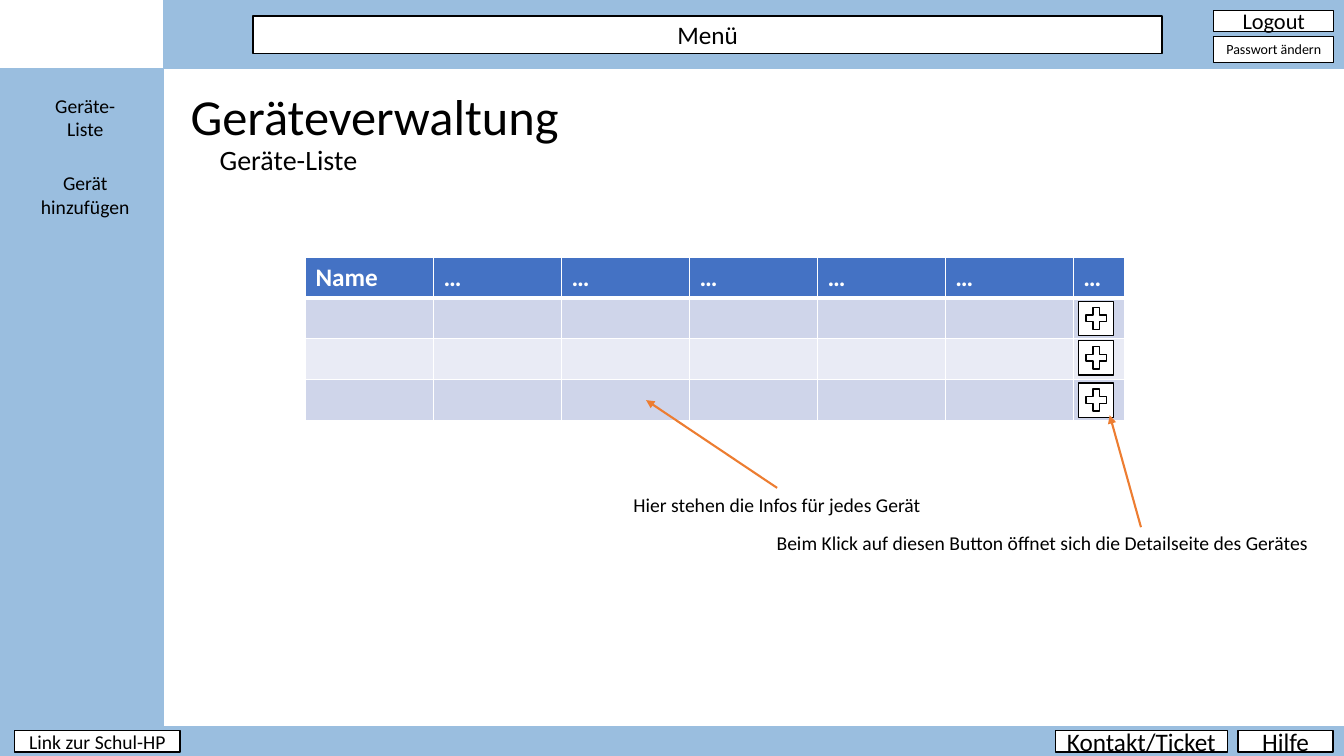
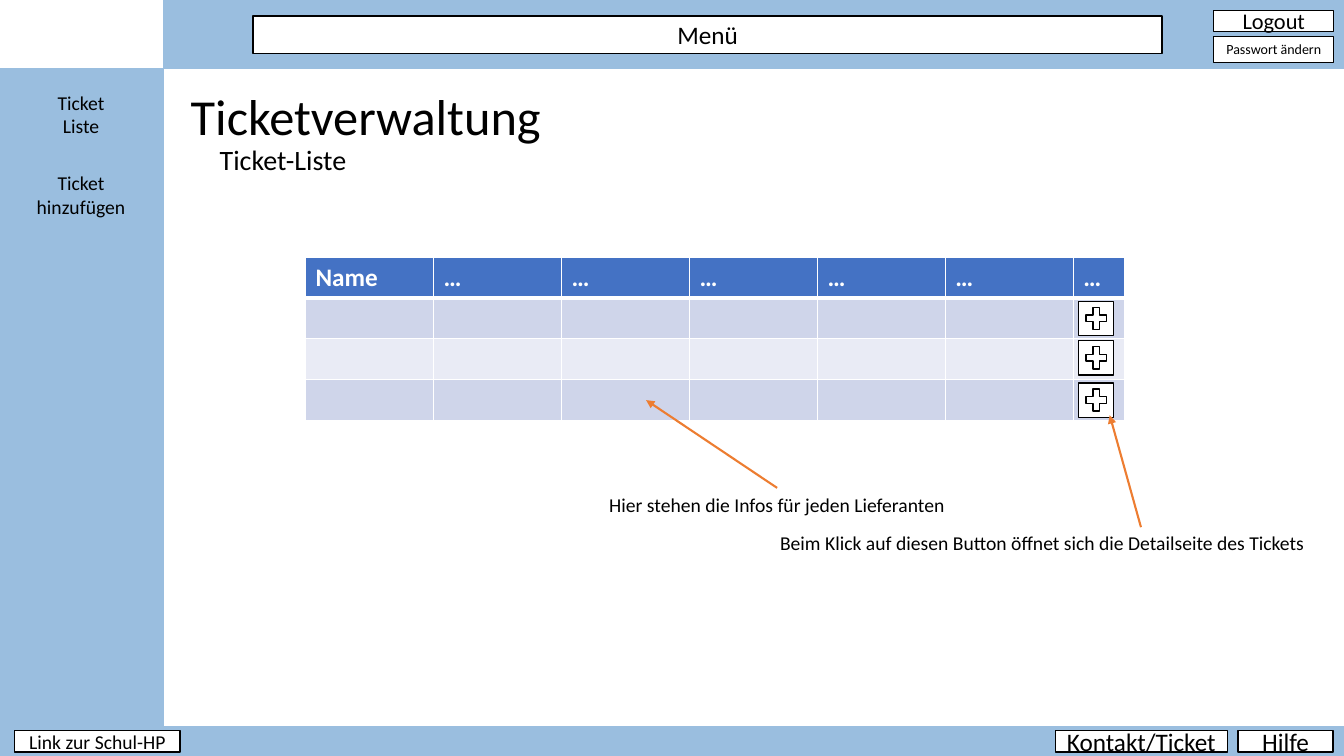
from lxml import etree
from pptx import Presentation
from pptx.dml.color import RGBColor
from pptx.enum.shapes import MSO_CONNECTOR, MSO_SHAPE
from pptx.enum.text import MSO_ANCHOR, MSO_AUTO_SIZE, PP_ALIGN
from pptx.oxml.ns import qn
from pptx.util import Pt

RECT, PLUS = MSO_SHAPE.RECTANGLE, MSO_SHAPE.MATH_PLUS
STRAIGHT = MSO_CONNECTOR.STRAIGHT
LEFT, CENTER = PP_ALIGN.LEFT, PP_ALIGN.CENTER
TOP, MIDDLE = MSO_ANCHOR.TOP, MSO_ANCHOR.MIDDLE
NO_FIT, GROW = MSO_AUTO_SIZE.NONE, MSO_AUTO_SIZE.SHAPE_TO_FIT_TEXT

SLIDE_W, SLIDE_H = 960, 540
SIDE_W, HEADER_H, FOOTER_TOP = 116.6, 49, 519
TITLE_ONLY = 5


def rgb(value):
    return RGBColor.from_string(value)


class Deck:
    font = "Calibri"
    black, white = "000000", "FFFFFF"
    band_color, accent, arrow_color = "9ABEDF", "4472C4", "ED7D31"
    row_colors = "CFD5EA", "E9EBF5"

    def __init__(self):
        self.prs = Presentation()
        self.prs.slide_width, self.prs.slide_height = Pt(SLIDE_W), Pt(SLIDE_H)
        self.s = None

    def new_slide(self, title):
        self.s = self.prs.slides.add_slide(self.prs.slide_layouts[TITLE_ONLY])
        sp = self.s.shapes.title
        sp.left, sp.top, sp.width, sp.height = Pt(129), Pt(57), Pt(350), Pt(51)
        self.fill_text(sp.text_frame, [title], 36, LEFT, TOP)
        sp.text_frame.auto_size = NO_FIT

    def fill_text(self, tf, lines, size, align, anchor, color=black, bold=False):
        tf.word_wrap = True
        tf.vertical_anchor = anchor
        for i, line in enumerate(lines):
            p = tf.add_paragraph() if i else tf.paragraphs[0]
            p.alignment = align
            self.add_text_run(p, line, size, color, bold)

    def add_text_run(self, p, text, size, color, bold):
        r = p.add_run()
        r.text = text
        r.font.name, r.font.size, r.font.bold = self.font, Pt(size), bold
        r.font.color.rgb = rgb(color)

    def shape(self, kind, x, y, w, h, fill=white, line=black):
        sp = self.s.shapes.add_shape(kind, Pt(x), Pt(y), Pt(w), Pt(h))
        sp.shadow.inherit = False
        sp.fill.solid()
        sp.fill.fore_color.rgb = rgb(fill)
        sp.line.color.rgb = rgb(line)
        sp.line.width = Pt(1)
        return sp

    def band(self, x, y, w, h):
        self.shape(RECT, x, y, w, h, self.band_color, self.band_color)

    def button(self, text, size, x, y, w, h):
        tf = self.shape(RECT, x, y, w, h).text_frame
        tf.margin_left = tf.margin_right = 0
        self.fill_text(tf, [text], size, CENTER, MIDDLE)

    def plus_button(self, x, y):
        self.shape(RECT, x, y, 25.2, 24.5)
        self.shape(PLUS, x + 2.6, y + 1.4, 20, 21.6)

    def text(self, lines, size, x, y, w, h, align=LEFT):
        tf = self.s.shapes.add_textbox(Pt(x), Pt(y), Pt(w), Pt(h)).text_frame
        self.fill_text(tf, lines, size, align, TOP)
        tf.auto_size = GROW

    def note(self, text, center, y, w):
        self.text([text], 14, center - w / 2, y, w, 24.5, CENTER)

    def arrow(self, x1, y1, x2, y2):
        cx = self.s.shapes.add_connector(STRAIGHT, Pt(x1), Pt(y1), Pt(x2), Pt(y2))
        cx.line.color.rgb = rgb(self.arrow_color)
        cx.line.width = Pt(1.5)
        props = cx.element.spPr
        etree.SubElement(props.find(qn("a:ln")), qn("a:tailEnd"), type="triangle")
        etree.SubElement(props, qn("a:effectLst"))

    def border(self, cell, side, width):
        props = cell._tc.get_or_add_tcPr()
        ln = etree.SubElement(props, qn("a:ln" + side), w=str(Pt(width)))
        fill = etree.SubElement(ln, qn("a:solidFill"))
        etree.SubElement(fill, qn("a:srgbClr"), val=self.white)

    def table(self, headers, widths, row_count, row_h, x, y):
        frame = self.s.shapes.add_table(row_count, len(widths), Pt(x), Pt(y),
                                        Pt(sum(widths)), Pt(row_h * row_count))
        table = frame.table
        for column, width in zip(table.columns, widths):
            column.width = Pt(width)
        for i, row in enumerate(table.rows):
            row.height = Pt(row_h)
            color = self.row_colors[(i - 1) % 2] if i else self.accent
            for cell, header in zip(row.cells, headers):
                for side in "LRTB":
                    thick = (i, side) in ((0, "B"), (1, "T"))
                    self.border(cell, side, 3 if thick else 1)
                cell.fill.solid()
                cell.fill.fore_color.rgb = rgb(color)
                if i == 0:
                    self.fill_text(cell.text_frame, [header], 18, LEFT, TOP,
                                   self.white, True)

    def frame(self):
        self.band(0, HEADER_H, SIDE_W, FOOTER_TOP - HEADER_H)
        self.band(0, FOOTER_TOP, SLIDE_W, SLIDE_H - FOOTER_TOP)
        self.band(SIDE_W, 0, SLIDE_W - SIDE_W, HEADER_H)
        self.button("Menü", 18, 180.7, 11.5, 649.4, 26.6)
        self.button("Logout", 16, 867, 7.4, 85.7, 15.1)
        self.button("Passwort ändern", 10, 867, 25.9, 85.7, 18.7)
        self.button("Link zur Schul-HP", 14, 10.6, 522, 118.1, 15.1)
        self.button("Kontakt/Ticket", 18, 753.8, 522, 123, 15.1)
        self.button("Hilfe", 18, 884.4, 522, 67.7, 15.1)

    def list_page(self, title, subtitle, nav, nav_x, nav_tops, info, detail):
        self.new_slide(title)
        self.frame()
        self.text([subtitle], 20, 149.8, 98.6, 160, 31.7)
        for lines, top in zip(nav, nav_tops):
            self.text(lines, 14, nav_x, top, 95.8, 41, CENTER)
        self.table(["Name"] + ["…"] * 6, [91.44] * 6 + [36.72], 4, 29.2,
                   218.2, 183.6)
        for top in (215.3, 243.4, 273.6):
            self.plus_button(770.4, top)
        self.arrow(555.1, 348.5, 461.5, 285.8)
        self.note(info, 555.1, 348.5, 280)
        self.arrow(815, 376.6, 792.7, 296.6)
        self.note(detail, 744.6, 375.8, 420)


def main():
    deck = Deck()
    deck.list_page(
        "Geräteverwaltung", "Geräte-Liste",
        [["Geräte-", "Liste"], ["Gerät hinzufügen"]], 13, (63.4, 118.8),
        "Hier stehen die Infos für jedes Gerät",
        "Beim Klick auf diesen Button öffnet sich die Detailseite des Gerätes")
    deck.list_page(
        "Ticketverwaltung", "Ticket-Liste",
        [["Ticket", "Liste"], ["Ticket hinzufügen"]], 10, (61.2, 118.8),
        "Hier stehen die Infos für jeden Lieferanten",
        "Beim Klick auf diesen Button öffnet sich die Detailseite des Tickets")
    deck.prs.save("out.pptx")


if __name__ == "__main__":
    main()
